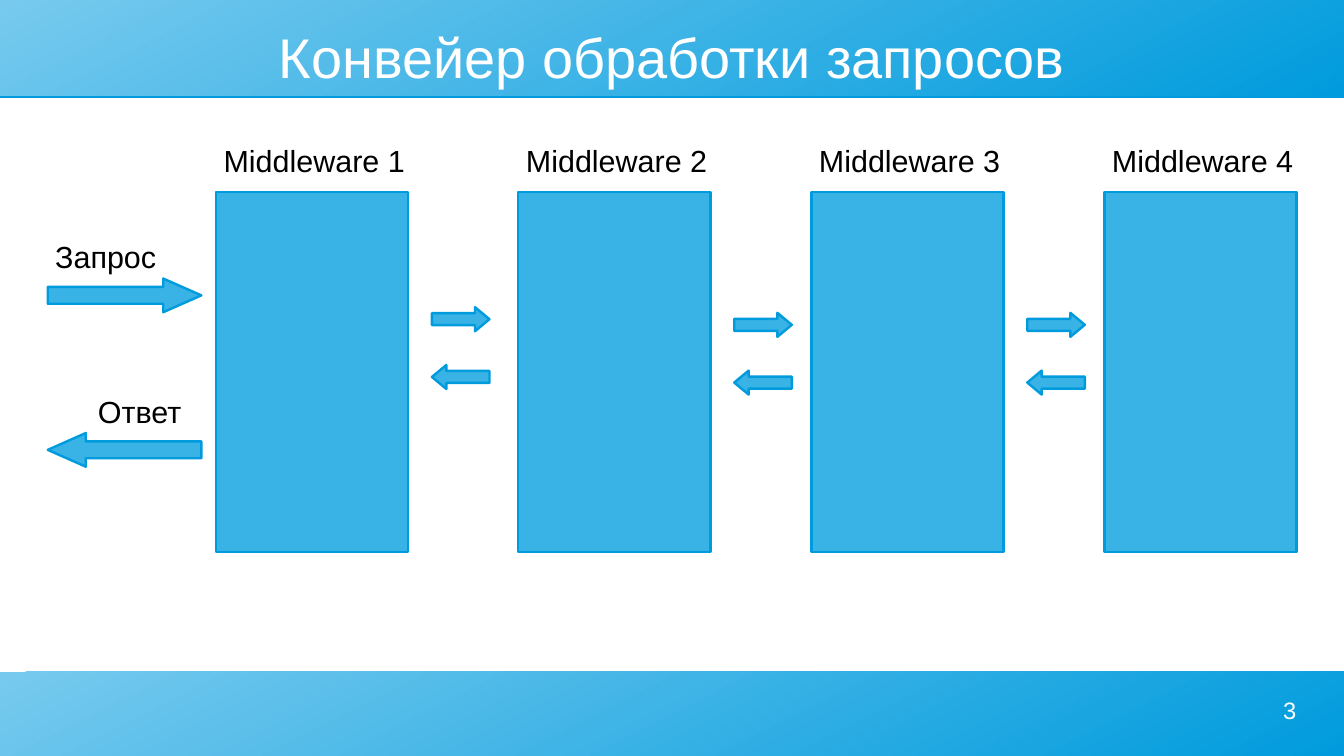
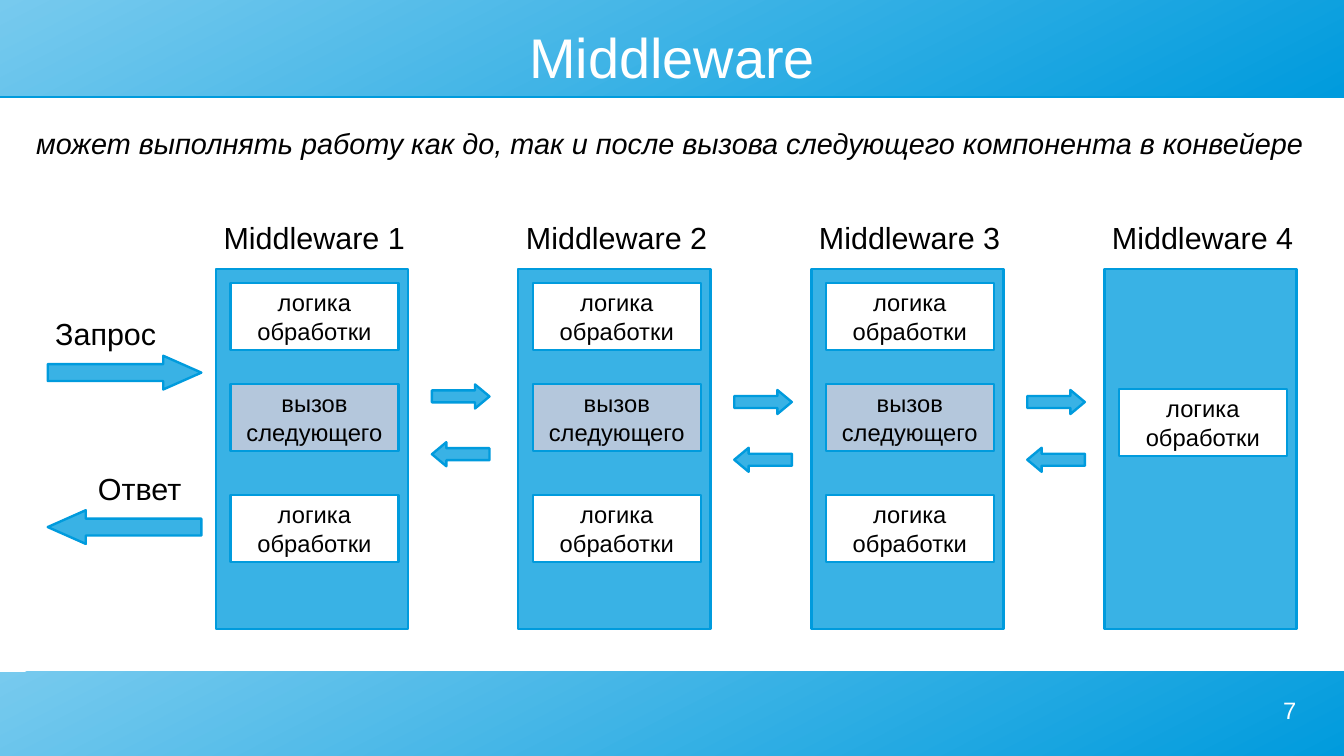
from lxml import etree
from pptx import Presentation
from pptx.dml.color import RGBColor
from pptx.enum.shapes import MSO_SHAPE as Preset
from pptx.enum.text import MSO_ANCHOR as Anchor, PP_ALIGN as Align
from pptx.oxml.ns import qn
from pptx.util import Pt

# Shared look
SLIDE_W, SLIDE_H = 793.5, 446.4
FONT = "Arial"
WHITE, BLACK = "FFFFFF", "000000"
LIGHT, BLUE, EDGE = "77CAEE", "39B2E5", "009BDD"
CALL_FILL = "B4C7DC"
LINE_W = 1.42
INSETS = (7.2, 3.6)

# Pipeline geometry; heights are measured from the top of the columns
COLUMN_LEFTS = (127.5, 306, 479, 652)
COLUMN_W, COLUMN_H = 113.4, 212.6
LABEL_W, LABEL_H = 127.5, 33.1
GAP_ARROW = (34, 14.2)
GAP_ARROW_OFFSET = 127.5
GAP_ARROW_TOPS = (68, 71.3, 71.3)
RETURN_STEP = 34.1
END_ARROW_LEFT, END_ARROW = 28.2, (90.7, 19.9)
END_LABEL = (96.4, 27.4)
STEP_INDENT, STEP_SIZE = 8.6, (99.2, 39.7)

LOGIC = ("логика", "обработки")
CALL = ("вызов", "следующего")
FULL_STEPS = ((8, LOGIC, WHITE), (67.7, CALL, CALL_FILL), (133.2, LOGIC, WHITE))
LAST_STEPS = ((70.6, LOGIC, WHITE),)


def rgb(color):
    return RGBColor.from_string(color)


def write_text(shape, lines, size, color=BLACK, align=Align.CENTER,
               anchor=Anchor.TOP, insets=INSETS, wrap=False, italic=False):
    frame = shape.text_frame
    frame.word_wrap = wrap
    frame.vertical_anchor = anchor
    frame.margin_left = frame.margin_right = Pt(insets[0])
    frame.margin_top = frame.margin_bottom = Pt(insets[1])
    frame.text = "\n".join(lines)
    for paragraph in frame.paragraphs:
        paragraph.alignment = align
        font = paragraph.font
        font.name, font.size, font.italic = FONT, Pt(size), italic
        font.color.rgb = rgb(color)


def add_text(slide, left, top, width, height, text, size, **style):
    box = slide.shapes.add_textbox(Pt(left), Pt(top), Pt(width), Pt(height))
    write_text(box, [text], size, **style)


def add_block(slide, preset, left, top, width, height, fill=BLUE):
    shape = slide.shapes.add_shape(preset, Pt(left), Pt(top), Pt(width), Pt(height))
    shape.shadow.inherit = False
    shape.fill.solid()
    shape.fill.fore_color.rgb = rgb(fill)
    shape.line.color.rgb = rgb(EDGE)
    shape.line.width = Pt(LINE_W)
    return shape


def add_arrow(slide, preset, left, top, size, head):
    arrow = add_block(slide, preset, left, top, *size)
    arrow.adjustments[0] = 0.5
    arrow.adjustments[1] = head


def add_band(slide, top, height):
    band = slide.shapes.add_shape(Preset.RECTANGLE, 0, Pt(top), Pt(SLIDE_W), Pt(height))
    band.line.fill.background()
    band.fill.gradient()
    band.fill.gradient_angle = 297
    for stop, color in zip(band.fill.gradient_stops, (LIGHT, EDGE)):
        stop.color.rgb = rgb(color)
    # Thin hard shadow straight below the band
    band.shadow.inherit = False
    effects = band._element.spPr.find(qn("a:effectLst"))
    shadow = etree.SubElement(effects, qn("a:outerShdw"), blurRad="0",
                              dist=str(Pt(0.9)), dir="5400000", rotWithShape="0")
    etree.SubElement(shadow, qn("a:srgbClr"), val=EDGE)


def add_slide(presentation, title, number):
    slide = presentation.slides.add_slide(presentation.slide_layouts[6])
    add_band(slide, 0, 56.7)
    add_band(slide, 396.8, SLIDE_H - 396.8)
    add_text(slide, 581, 411, 184.4, 28, number, 14, color=WHITE,
             align=Align.RIGHT, insets=(0, 0), wrap=True)
    add_text(slide, 28.3, 14.2, 737, 37.4, title, 33, color=WHITE,
             anchor=Anchor.MIDDLE, insets=(0, 0), wrap=True)
    return slide


def add_pipeline(slide, top):
    # Columns with their labels
    for number, left in enumerate(COLUMN_LEFTS, 1):
        add_block(slide, Preset.RECTANGLE, left, top, COLUMN_W, COLUMN_H)
        add_text(slide, left - 5.7, top - LABEL_H, LABEL_W, LABEL_H,
                 f"Middleware {number}", 18)
    # Arrow pairs between columns
    for left, offset in zip(COLUMN_LEFTS, GAP_ARROW_TOPS):
        arrow_left, arrow_top = left + GAP_ARROW_OFFSET, top + offset
        add_arrow(slide, Preset.RIGHT_ARROW, arrow_left, arrow_top, GAP_ARROW, 0.6)
        add_arrow(slide, Preset.LEFT_ARROW, arrow_left, arrow_top + RETURN_STEP,
                  GAP_ARROW, 0.6)
    # Request and response
    for text, preset, label_left, offset in (
            ("Запрос", Preset.RIGHT_ARROW, 14.2, 51.1),
            ("Ответ", Preset.LEFT_ARROW, 34.2, 142.3)):
        add_text(slide, label_left, top + offset - END_LABEL[1], *END_LABEL, text, 18)
        add_arrow(slide, preset, END_ARROW_LEFT, top + offset, END_ARROW, 1.13)


def add_steps(slide, top):
    for left in COLUMN_LEFTS:
        steps = LAST_STEPS if left == COLUMN_LEFTS[-1] else FULL_STEPS
        for offset, lines, fill in steps:
            step = add_block(slide, Preset.RECTANGLE, left + STEP_INDENT,
                             top + offset, *STEP_SIZE, fill=fill)
            write_text(step, lines, 14, anchor=Anchor.MIDDLE)


def main():
    presentation = Presentation()
    presentation.slide_width, presentation.slide_height = Pt(SLIDE_W), Pt(SLIDE_H)

    # Request pipeline
    slide = add_slide(presentation, "Конвейер обработки запросов", "3")
    add_pipeline(slide, 113.4)

    # Work inside each component
    slide = add_slide(presentation, "Middleware", "7")
    add_pipeline(slide, 159)
    add_steps(slide, 159)
    add_text(slide, 14.2, 70.9, 779, 41.8,
             "может выполнять работу как до, так и после вызова "
             "следующего компонента в конвейере",
             17, align=Align.LEFT, wrap=True, italic=True)

    presentation.save("out.pptx")


if __name__ == "__main__":
    main()
